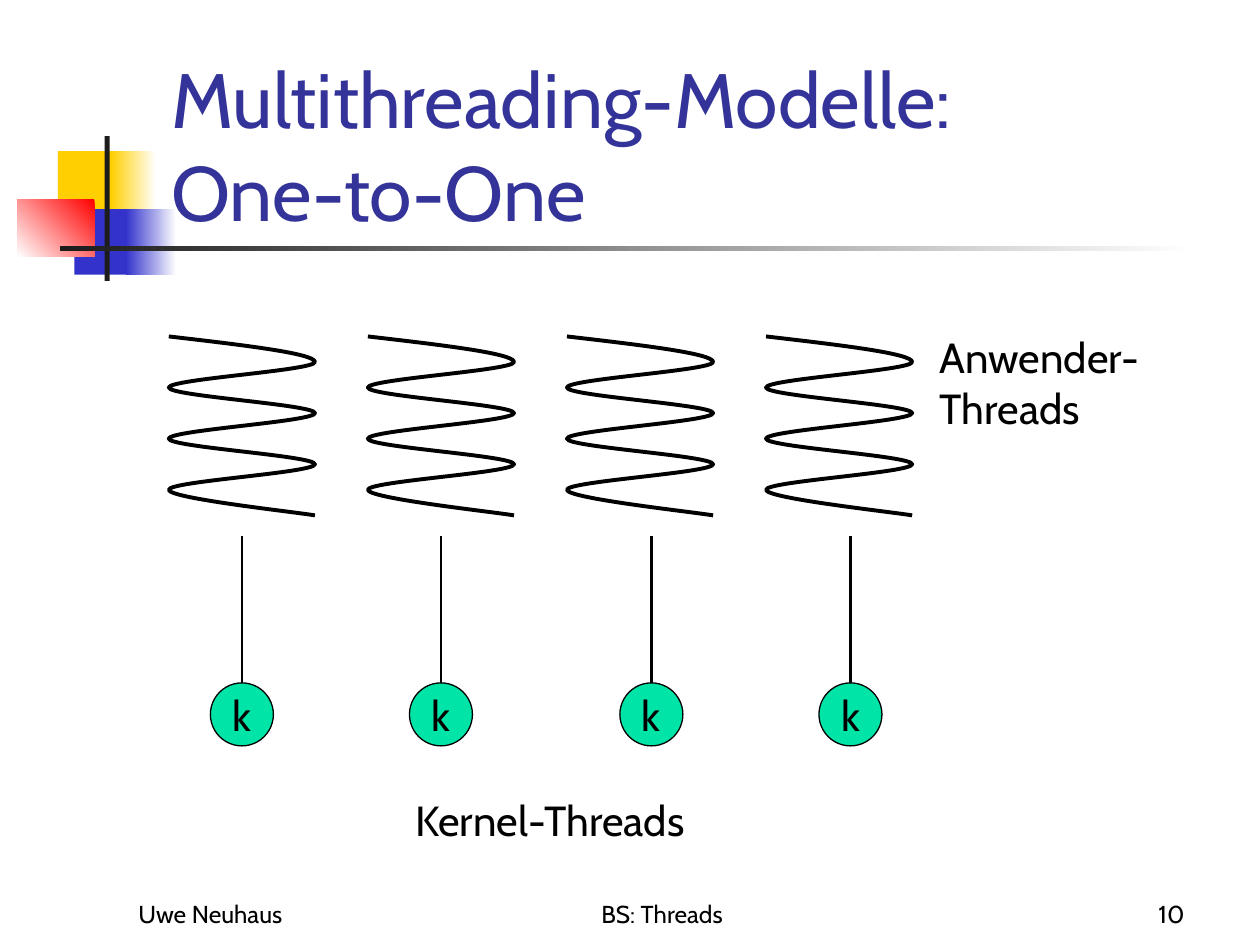
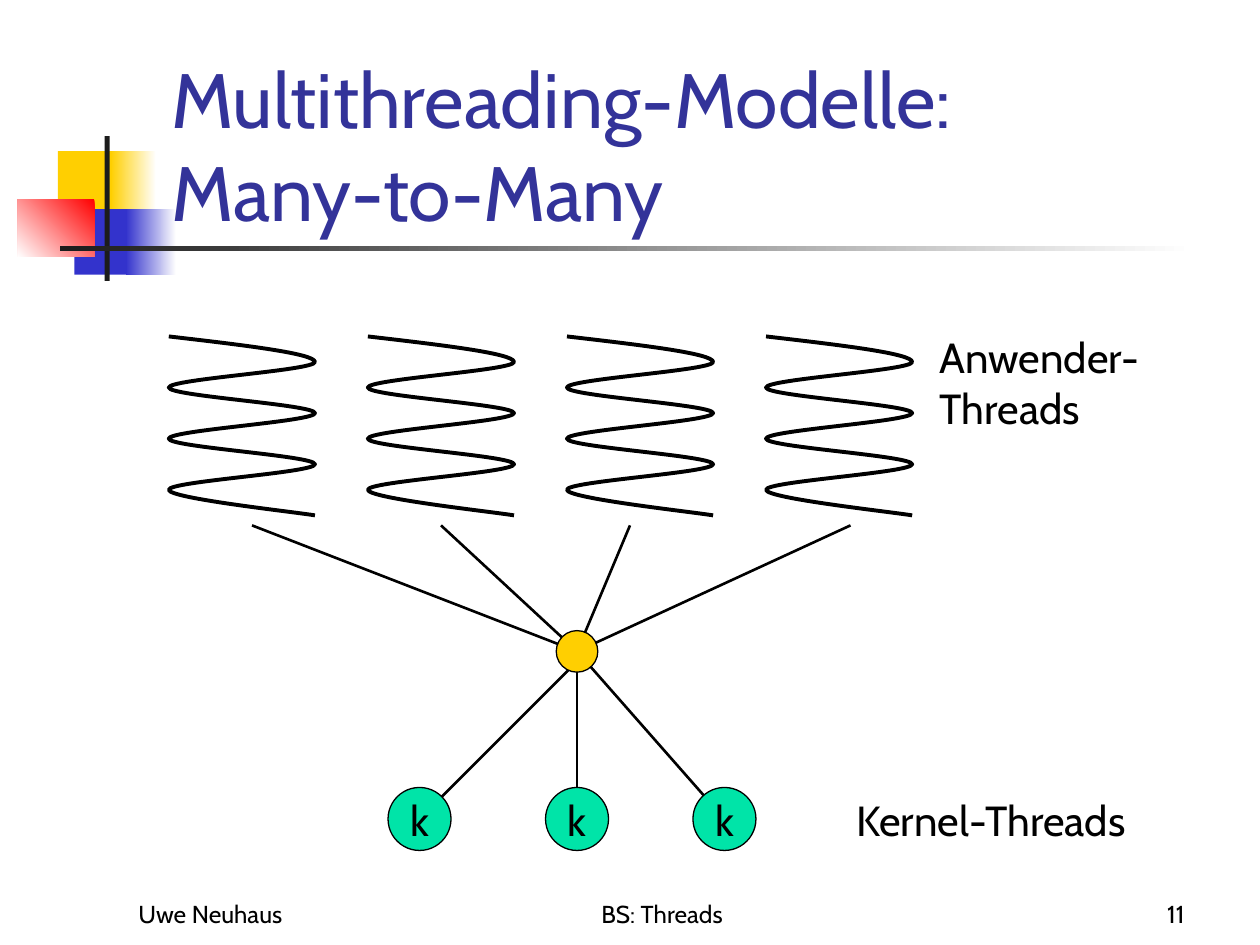
from dataclasses import dataclass

from lxml import etree
from pptx import Presentation
from pptx.dml.color import RGBColor
from pptx.enum.shapes import MSO_CONNECTOR, MSO_SHAPE
from pptx.enum.text import MSO_ANCHOR, PP_ALIGN
from pptx.oxml.ns import qn
from pptx.util import Inches, Pt

RECT, OVAL = MSO_SHAPE.RECTANGLE, MSO_SHAPE.OVAL
STRAIGHT = MSO_CONNECTOR.STRAIGHT
TOP, MIDDLE, BOTTOM = MSO_ANCHOR.TOP, MSO_ANCHOR.MIDDLE, MSO_ANCHOR.BOTTOM
LEFT, CENTER, RIGHT = PP_ALIGN.LEFT, PP_ALIGN.CENTER, PP_ALIGN.RIGHT

FONT = "Cabin"
COLORS = {
    "black": "000000", "white": "FFFFFF", "title": "333399", "gold": "FFCF01",
    "blue": "3333CC", "red": "FF0000", "dark": "1C1C1C", "green": "00E4A8",
}

Point = tuple[float, float]


@dataclass
class Block:
    """Part of the title ornament; two colours make a gradient."""
    box: tuple[float, float, float, float]
    fill: tuple[str, ...]
    angle: int = 180


@dataclass
class Label:
    box: tuple[float, float, float, float]
    text: str
    size: int = 24
    color: str = "black"
    align: PP_ALIGN = LEFT
    anchor: MSO_ANCHOR = TOP
    wrap: bool = False


@dataclass
class Disc:
    mid: Point
    size: float = 0.5
    fill: str = "green"
    text: str = "k"


@dataclass
class Model:
    name: str
    page: str
    kernel: Point
    lines: list[tuple[Point, Point]]
    discs: list[Disc]


# Shared ornament and footers
BLOCKS = [
    Block((0.46, 1.2, 0.48, 0.52), ("gold",)),
    Block((0.88, 1.2, 0.36, 0.52), ("white", "gold")),
    Block((0.59, 1.66, 0.46, 0.52), ("blue",)),
    Block((1, 1.66, 0.4, 0.52), ("white", "blue")),
    Block((0.14, 1.58, 0.61, 0.46), ("red", "white"), 225),
    Block((0.83, 1.08, 0.04, 1.15), ("dark",)),
    Block((0.48, 1.95, 9, 0.04), ("white", "dark")),
]
FOOTERS = [
    Label((1, 7.08, 2.08, 0.34), "Uwe Neuhaus", 14, "black", LEFT, BOTTOM, True),
    Label((3.67, 7.08, 3.17, 0.34), "BS: Threads", 14, "black", CENTER, BOTTOM, True),
]

# User threads: a row of equal coils
COIL_X, COIL_Y, PITCH, COUNT = 1.34, 2.67, 1.58, 4
WIDE, HIGH, TURNS = 1.16, 1.42, 7

# The two models
HUB = (4.58, 5.17)
ONE_X = (1.92, 3.5, 5.17, 6.75)
USER_X = (2, 3.5, 5, 6.75)
KERNEL_X = (3.33, 4.58, 5.75)
MODELS = [
    Model("One-to-One", "10", (3.2, 6.25),
          [((x, 4.25), (x, 5.58)) for x in ONE_X],
          [Disc((x, 5.67)) for x in ONE_X]),
    Model("Many-to-Many", "11", (6.7, 6.25),
          [((x, 4.17), HUB) for x in USER_X]
          + [((4.58, 5.25), (KERNEL_X[0], 6.5))]
          + [(HUB, (x, 6.5)) for x in KERNEL_X[1:]],
          [Disc((x, 6.5)) for x in KERNEL_X] + [Disc(HUB, 0.33, "gold", "")]),
]


def tint(name: str) -> RGBColor:
    return RGBColor.from_string(COLORS[name])


def write(frame, text: str, size: int, color: str, align: PP_ALIGN) -> None:
    para = frame.paragraphs[0]
    para.alignment = align
    para.line_spacing = 1.01
    for n, line in enumerate(text.split("\n")):
        if n:
            para.add_line_break()
        run = para.add_run()
        run.text = line
        run.font.name = FONT
        run.font.size = Pt(size)
        run.font.color.rgb = tint(color)


def add_label(slide, label: Label) -> None:
    frame = slide.shapes.add_textbox(*map(Inches, label.box)).text_frame
    frame.word_wrap = label.wrap
    frame.vertical_anchor = label.anchor
    write(frame, label.text, label.size, label.color, label.align)


def add_block(slide, block: Block) -> None:
    shape = slide.shapes.add_shape(RECT, *map(Inches, block.box))
    shape.shadow.inherit = False
    shape.line.fill.background()
    if len(block.fill) == 1:
        shape.fill.solid()
        shape.fill.fore_color.rgb = tint(block.fill[0])
        return
    shape.fill.gradient()
    shape.fill.gradient_angle = block.angle
    for stop, name in zip(shape.fill.gradient_stops, block.fill):
        stop.color.rgb = tint(name)


def add_disc(slide, disc: Disc) -> None:
    left, top = (v - disc.size / 2 for v in disc.mid)
    shape = slide.shapes.add_shape(
        OVAL, Inches(left), Inches(top), Inches(disc.size), Inches(disc.size))
    shape.shadow.inherit = False
    shape.fill.solid()
    shape.fill.fore_color.rgb = tint(disc.fill)
    shape.line.color.rgb = tint("black")
    shape.line.width = Pt(0.75)
    if disc.text:
        frame = shape.text_frame
        frame.margin_left = frame.margin_right = 0
        frame.margin_top = frame.margin_bottom = 0
        frame.word_wrap = False
        frame.vertical_anchor = MIDDLE
        write(frame, disc.text, 24, "black", CENTER)


def add_line(slide, start: Point, end: Point) -> None:
    line = slide.shapes.add_connector(STRAIGHT, *map(Inches, start + end))
    line.line.color.rgb = tint("black")
    line.line.width = Pt(1.5)
    etree.SubElement(line._element.spPr, qn("a:effectLst"))


def coil_points() -> list[Point]:
    """Control points of the coil, three for each curve."""
    step = HIGH / TURNS
    points = [(WIDE / 2, step / 3), (WIDE, step * 2 / 3), (WIDE, step)]
    for turn in range(1, TURNS - 1):
        near = WIDE if turn % 2 else 0
        far, y = WIDE - near, turn * step
        points += [(near, y + step / 3), (far, y + step * 2 / 3), (far, y + step)]
    y = HIGH - step
    return points + [(0, y + step / 3), (0.97, y + step * 0.85), (WIDE, HIGH)]


def add_coil(slide, left: float) -> None:
    pen = slide.shapes.build_freeform(Inches(left), Inches(COIL_Y))
    pen.add_line_segments(
        [(Inches(left + x), Inches(COIL_Y + y)) for x, y in coil_points()],
        close=False)
    shape = pen.convert_to_shape()
    shape.shadow.inherit = False
    shape.fill.background()
    shape.line.color.rgb = tint("black")
    shape.line.width = Pt(2.25)
    # Turn each three segments into one curve
    track = next(shape._element.iter(qn("a:path")))
    steps = track.findall(qn("a:lnTo"))
    for n in range(0, len(steps), 3):
        curve = etree.SubElement(track, qn("a:cubicBezTo"))
        for step in steps[n:n + 3]:
            curve.append(step[0])
            track.remove(step)


def add_frame(slide, model: Model) -> None:
    for block in BLOCKS:
        add_block(slide, block)
    page = Label((7.42, 7.05, 2.08, 0.37), model.page, 14, "black", RIGHT, BOTTOM, True)
    title = Label((1.26, 0.35, 8.52, 1.58), f"Multithreading-Modelle:\n{model.name}",
                  44, "title", LEFT, BOTTOM, True)
    for label in [*FOOTERS, page, title]:
        add_label(slide, label)


def add_model(slide, model: Model) -> None:
    add_frame(slide, model)
    for n in range(COUNT):
        add_coil(slide, COIL_X + n * PITCH)
    for start, end in model.lines:
        add_line(slide, start, end)
    for disc in model.discs:
        add_disc(slide, disc)
    add_label(slide, Label((*model.kernel, 2.59, 0.51), "Kernel-Threads"))
    add_label(slide, Label((7.36, 2.58, 1.91, 0.91), "Anwender-\nThreads"))


def main() -> None:
    deck = Presentation()
    deck.slide_width, deck.slide_height = Inches(10), Inches(7.5)
    blank = deck.slide_layouts[6]
    for model in MODELS:
        add_model(deck.slides.add_slide(blank), model)
    deck.save("out.pptx")


if __name__ == "__main__":
    main()
